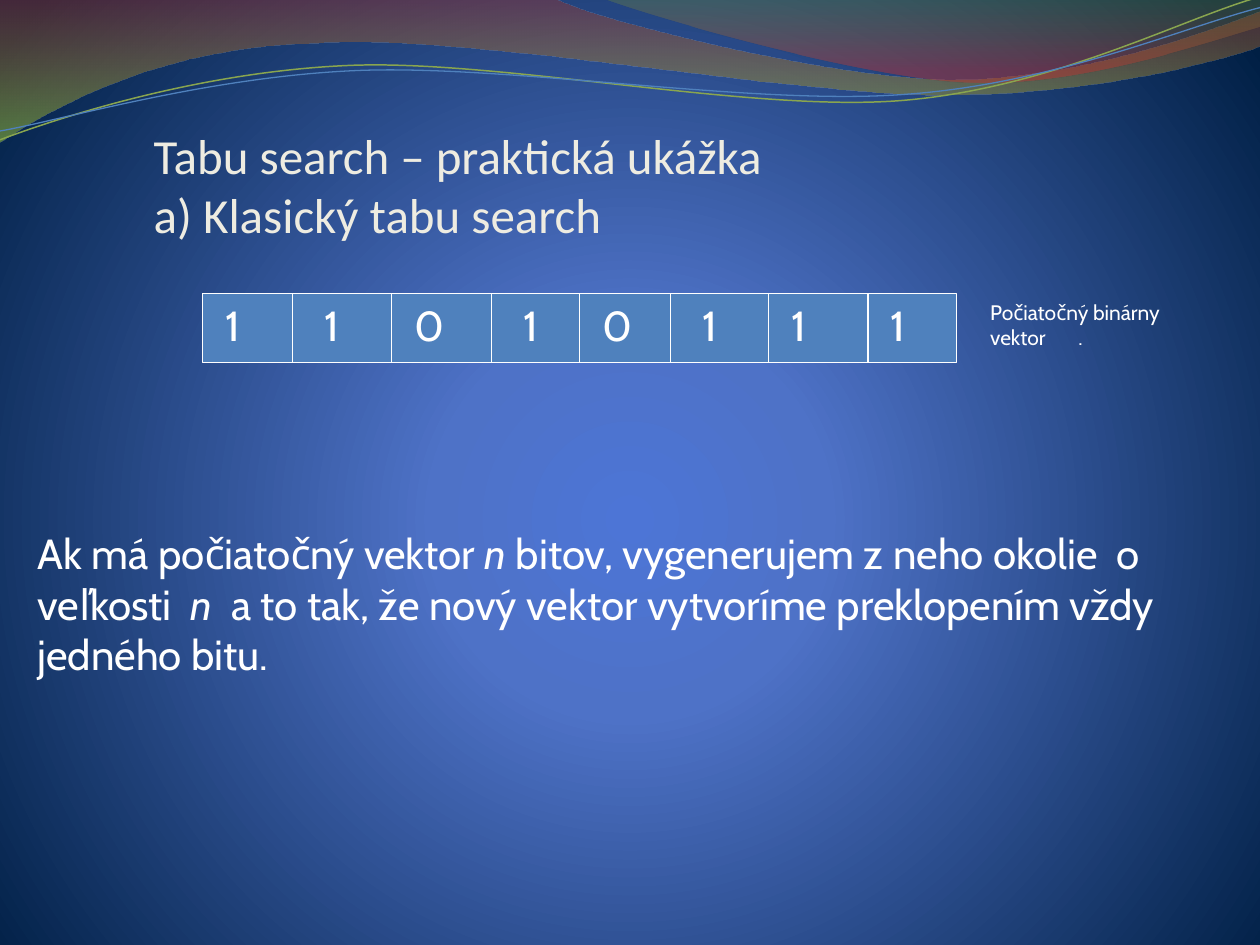
"""Build the slide on classic tabu search with its binary start vector."""
import math

from lxml import etree
from pptx import Presentation
from pptx.dml.color import RGBColor
from pptx.enum import shapes, text
from pptx.oxml import ns
from pptx.util import Inches, Pt

COLORS = {
    "white": "FFFFFF", "title": "EEECE1", "cell": "4F81BD", "green_line": "89A54F",
    "center": "4D75D6", "middle": "4E72C7", "edge": "001F44",
    "red": "973330", "lime": "95C238", "olive": "769537", "crimson": "BE3330",
}


def set_gradient(element, stops, direction, attributes):
    gradient = element.xpath(".//a:gradFill")[0]
    gradient.clear()
    gradient.set("rotWithShape", "1")
    stop_list = etree.SubElement(gradient, ns.qn("a:gsLst"))
    for position, color, opacity in stops:
        stop = etree.SubElement(stop_list, ns.qn("a:gs"), pos=str(position * 1000))
        rgb = etree.SubElement(stop, ns.qn("a:srgbClr"), val=COLORS[color])
        if opacity < 100:
            etree.SubElement(rgb, ns.qn("a:alpha"), val=str(opacity * 1000))
    return etree.SubElement(gradient, ns.qn(direction), attributes)


def add_text(left, top, width, height, runs, size, font="Cabin", color="white"):
    box = slide.shapes.add_textbox(Inches(left), Inches(top), Inches(width), Inches(height))
    frame = box.text_frame
    frame.word_wrap = True
    frame.auto_size = text.MSO_AUTO_SIZE.SHAPE_TO_FIT_TEXT
    paragraph = frame.paragraphs[0]
    for content, italic in runs:
        if content == "\n":
            paragraph.add_line_break()
            continue
        run = paragraph.add_run()
        run.text = content
        run.font.size = Pt(size)
        run.font.name = font
        run.font.italic = italic
        run.font.color.rgb = RGBColor.from_string(COLORS[color])
    return frame


presentation = Presentation()
presentation.slide_width = Inches(10)
presentation.slide_height = Inches(7.5)
slide = presentation.slides.add_slide(presentation.slide_layouts[6])

slide.background.fill.gradient()
circle = set_gradient(
    slide.element,
    [(0, "center", 100), (25, "middle", 100), (100, "edge", 100)],
    "a:path", {"path": "circle"},
)
etree.SubElement(circle, ns.qn("a:fillToRect"), l="10000", t="110000", r="10000", b="100000")

wide_wave = [
    (0, 0), (4.4, -0.01),
    (4.76, 0.17, 6.64, 0.63, 7.58, 0.63), (8.53, 0.63, 9.58, 0.26, 10, 0.09),
    (10.01, 0.36),
    (9.83, 0.44, 8.7, 0.76, 7.46, 0.75), (6.22, 0.75, 3.82, 0.28, 2.57, 0.34),
    (1.29, 0.36, 0.46, 0.83, -0.01, 1.13),
]
right_wave = [
    (4.79, -0.01),
    (5.09, 0.11, 6.82, 0.62, 7.69, 0.65), (8.56, 0.69, 9.61, 0.32, 10, 0.21),
    (10, 0),
]
green_curve = [
    (0, 1.11), (0.48, 0.93, 1.58, 0.57, 2.77, 0.52),
    (3.95, 0.47, 5.93, 0.89, 7.13, 0.8), (8.33, 0.71, 9.38, 0.15, 9.98, -0.02),
]
blue_curve = [
    (0, 1.04), (0.47, 0.96, 1.64, 0.61, 2.83, 0.56),
    (4.03, 0.51, 5.97, 0.84, 7.17, 0.75), (8.36, 0.67, 9.41, 0.21, 10, 0.06),
]
waves = [
    (wide_wave, (-0.01, -0.01, 10.02, 1.14), 0, [(0, "red", 45), (100, "lime", 55)], None, 0),
    (right_wave, (4.79, -0.01, 5.21, 0.7), 0, [(0, "olive", 30), (80, "crimson", 45)], None, 0),
    (green_curve, (-0.02, 0.22, 10.02, 0.71), -2.7, None, "green_line", 0.85),
    (blue_curve, (-0.02, 0.3, 10.03, 0.58), -2.7, None, "cell", 0.75),
]
for segments, (left, top, width, height), rotation, stops, line_color, line_width in waves:
    builder = slide.shapes.build_freeform(Inches(left), Inches(top))
    builder.add_line_segments([(Inches(left + width), Inches(top + height))], close=False)
    wave = builder.convert_to_shape()
    wave.rotation = rotation
    wave.shadow.inherit = False

    outline = wave.element.xpath(".//a:path")[0]
    outline.clear()
    outline.set("w", str(Inches(width)))
    outline.set("h", str(Inches(height)))
    cosine, sine = math.cos(math.radians(-rotation)), math.sin(math.radians(-rotation))
    for index, segment in enumerate(segments):
        kind = "a:moveTo" if index == 0 else "a:lnTo" if len(segment) == 2 else "a:cubicBezTo"
        command = etree.SubElement(outline, ns.qn(kind))
        for x, y in zip(segment[::2], segment[1::2]):
            dx, dy = x - left - width / 2, y - top - height / 2
            local_x = width / 2 + dx * cosine - dy * sine
            local_y = height / 2 + dx * sine + dy * cosine
            etree.SubElement(
                command, ns.qn("a:pt"), x=str(Inches(local_x)), y=str(Inches(local_y))
            )

    if stops:
        etree.SubElement(outline, ns.qn("a:close"))
        wave.fill.gradient()
        set_gradient(wave.element, stops, "a:lin", {"ang": "5400000", "scaled": "1"})
        wave.line.fill.background()
    else:
        wave.fill.background()
        wave.line.color.rgb = RGBColor.from_string(COLORS[line_color])
        wave.line.width = Pt(line_width)

title = add_text(
    1.22, 0.68, 8.52, 1.25,
    [("Tabu search – praktická ukážka", False), ("\n", False), ("a) Klasický tabu search", False)],
    28, "Calibri", "title",
)
title.auto_size = text.MSO_AUTO_SIZE.NONE
title.vertical_anchor = text.MSO_ANCHOR.BOTTOM
title.margin_left = title.margin_right = title.margin_bottom = 0

TOP, HEIGHT = 2.33, 0.55
vector = slide.shapes.add_shape(
    shapes.MSO_SHAPE.RECTANGLE, Inches(1.61), Inches(TOP), Inches(5.98), Inches(HEIGHT)
)
vector.shadow.inherit = False
vector.fill.solid()
vector.fill.fore_color.rgb = RGBColor.from_string(COLORS["cell"])
vector.line.color.rgb = RGBColor.from_string(COLORS["white"])
vector.line.width = Pt(0.75)

bits = [
    (1.61, 0.08, "1"), (2.32, 0.16, "1"), (3.11, 0.08, "0"), (3.9, 0.16, "1"),
    (4.6, 0.08, "0"), (5.32, 0.16, "1"), (6.1, 0.08, "1"), (6.89, 0.08, "1"),
]
for x, _, _ in bits[1:]:
    divider = slide.shapes.add_connector(
        shapes.MSO_CONNECTOR.STRAIGHT, Inches(x), Inches(TOP), Inches(x), Inches(TOP + HEIGHT)
    )
    if x == 4.6:
        divider.begin_connect(vector, 0)
        divider.end_connect(vector, 2)
    divider.line.color.rgb = RGBColor.from_string(COLORS["white"])
    divider.line.width = Pt(0.75)
    etree.SubElement(divider.element.spPr, ns.qn("a:effectLst"))
for x, inset, digit in bits:
    add_text(x + inset, TOP, 0.55, 0.5, [(digit, False)], 24)

caption = add_text(7.76, TOP, 1.89, 0.5, [("Počiatočný binárny vektor\t.", False)], 12)
tabs = etree.SubElement(caption.paragraphs[0]._p.get_or_add_pPr(), ns.qn("a:tabLst"))
etree.SubElement(tabs, ns.qn("a:tab"), pos=str(Inches(0.7)), algn="l")

add_text(
    0.2, 4.14, 9.29, 1.31,
    [
        ("Ak má počiatočný vektor ", False), ("n", True),
        (" bitov, vygenerujem z neho okolie  o veľkosti  ", False), ("n  ", True),
        ("a to tak, že nový vektor vytvoríme preklopením vždy jedného bitu.", False),
    ],
    24,
)

presentation.save("out.pptx")
